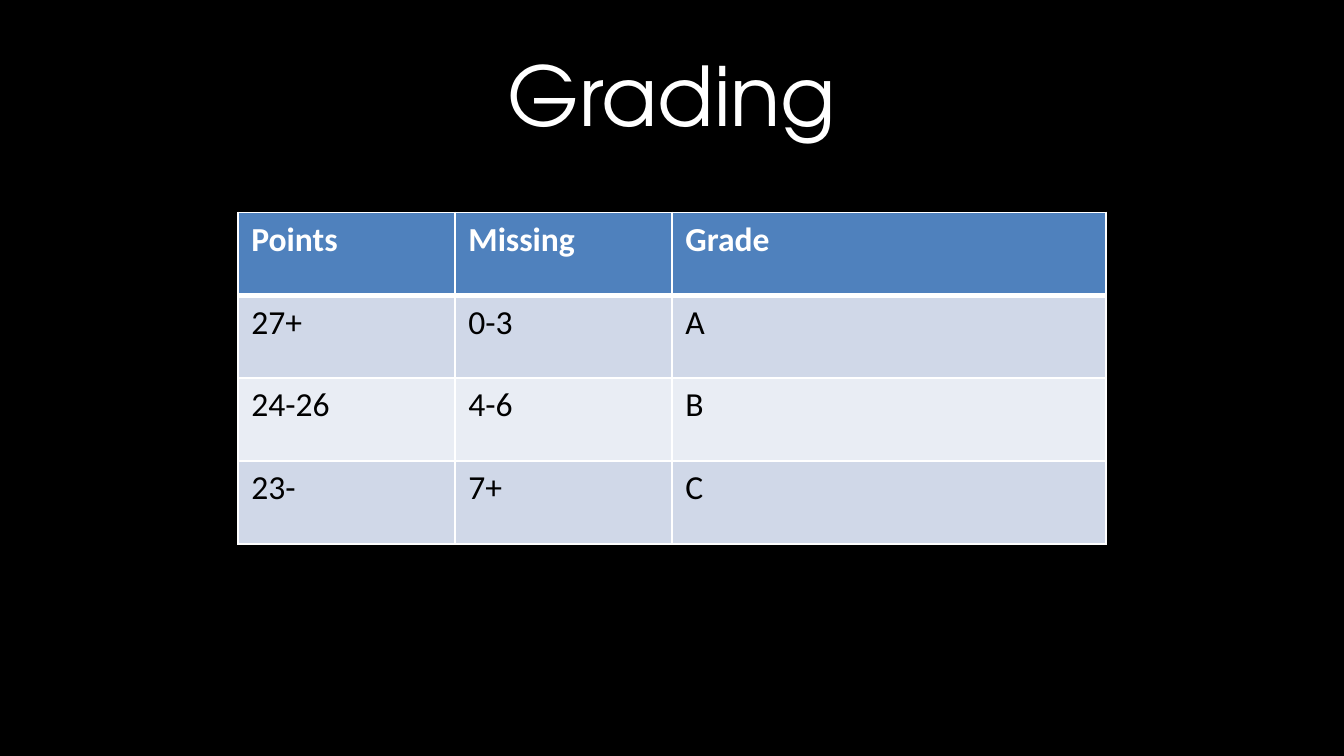
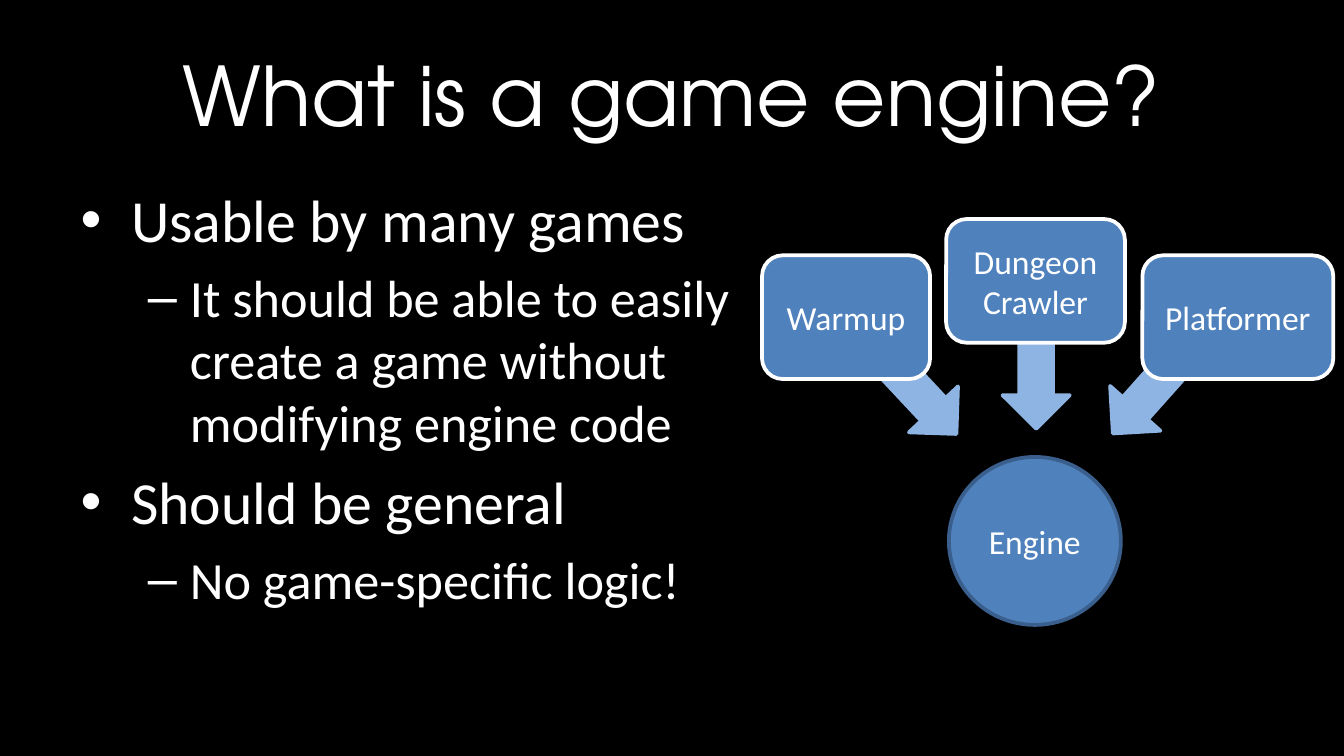
from lxml import etree
from pptx import Presentation, util as u
from pptx.dml.color import RGBColor
from pptx.enum import shapes, text
from pptx.oxml.ns import qn


class Theme:
    back, white, ink = "000000", "FFFFFF", "000000"
    blue, edge, pale = "4F81BD", "3A5F8C", "8EB4E3"
    bands = "E9EDF4", "D0D8E8"
    head, body = "TeX Gyre Adventor", "Calibri"
    title, point, sub, label = 44, 32, 28, 18


# The slide is a grid of square cells, 100 columns wide.
CELL = u.Inches(0.1)
KIND = shapes.MSO_SHAPE


def grid(*cells):
    """Turn left, top, width and height in cells into lengths."""
    return [round(n * CELL) for n in cells]


def style(par, size, color=Theme.white, face=Theme.body, bold=False):
    for run in par.runs:
        font = run.font
        font.name, font.size, font.bold = face, u.Pt(size), bold
        font.color.rgb = RGBColor.from_string(color)


prs = Presentation()
prs.slide_width, prs.slide_height = grid(100, 56.25)
fill = prs.slide_master.background.fill
fill.solid()
fill.fore_color.rgb = RGBColor.from_string(Theme.back)

# Both slides: title-only for the table, title and content for the bullets
slides = []
for name, layout in (("Grading", 5), ("What is a game engine?", 1)):
    slide = prs.slides.add_slide(prs.slide_layouts[layout])
    title = slide.shapes.title
    title.left, title.top, title.width, title.height = grid(5, 2.3, 90, 9.4)
    frame = title.text_frame
    frame.text = name
    frame.auto_size = text.MSO_AUTO_SIZE.NONE
    frame.vertical_anchor = text.MSO_ANCHOR.MIDDLE
    frame.paragraphs[0].alignment = text.PP_ALIGN.CENTER
    style(frame.paragraphs[0], Theme.title, face=Theme.head)
    slides.append(slide)
grades, engine = slides

# Slide 1: grade table
rows = [
    ("Points", "Missing", "Grade"),
    ("27+", "0-3", "A"),
    ("24-26", "4-6", "B"),
    ("23-", "7+", "C"),
]
table = grades.shapes.add_table(4, 3, *grid(17.7, 15.8, 64.6, 24.7)).table
for col, share in zip(table.columns, (1, 1, 2)):
    col.width = round(64.6 * CELL * share / 4)
for r, row in enumerate(rows):
    top = r == 0
    for c, word in enumerate(row):
        cell = table.cell(r, c)
        cell.text = word
        style(cell.text_frame.paragraphs[0], Theme.label,
              Theme.white if top else Theme.ink, bold=top)
        props = cell._tc.get_or_add_tcPr()
        for side in "LRTB":
            thick = (r, side) in ((0, "B"), (1, "T"))
            line = etree.SubElement(props, qn(f"a:ln{side}"), w=str(u.Pt(3 if thick else 1)))
            solid = etree.SubElement(line, qn("a:solidFill"))
            etree.SubElement(solid, qn("a:srgbClr"), val=Theme.white)
        cell.fill.solid()
        cell.fill.fore_color.rgb = RGBColor.from_string(Theme.blue if top else Theme.bands[r % 2])

# Slide 2: bullets
points = [
    (0, "Usable by many games"),
    (1, "It should be able to easily create a game without modifying engine code"),
    (0, "Should be general"),
    (1, "No game-specific logic!"),
]
levels = [("•", 3.75, Theme.point), ("–", 8.13, Theme.sub)]
hangs = 3.75, 3.13
body = engine.placeholders[1]
body.left, body.top, body.width, body.height = grid(5, 13.1, 51.7, 39.2)
frame = body.text_frame
frame.text = "\n".join(words for _, words in points)
frame.auto_size = text.MSO_AUTO_SIZE.NONE
for i, (par, (level, _)) in enumerate(zip(frame.paragraphs, points)):
    mark, indent, size = levels[level]
    par.level = level
    par.space_before = u.Pt(0.2 * size if i else 0)
    props = par._p.get_or_add_pPr()
    props.set("marL", str(round(indent * CELL)))
    props.set("indent", str(round(-hangs[level] * CELL)))
    etree.SubElement(props, qn("a:buChar"), char=mark)
    style(par, size)

# Slide 2: games feeding the engine, arrows behind
arrow = KIND.DOWN_ARROW, Theme.pale, Theme.pale
game = KIND.ROUNDED_RECTANGLE, Theme.blue, Theme.white
parts = [
    (arrow, (74.6, 24.4, 5, 7.5), 0, ""),
    (arrow, (66.1, 25.8, 5, 7.5), 316.9, ""),
    (arrow, (82.8, 25.7, 5, 7.5), 41.7, ""),
    (game, (56.7, 19, 12.5, 9.2), 0, "Warmup"),
    (game, (85, 19, 14.2, 9.2), 0, "Platformer"),
    (game, (70.4, 16.3, 13.3, 9.2), 0, "Dungeon\nCrawler"),
    ((KIND.OVAL, Theme.blue, Theme.edge), (70.6, 34, 12.8, 12.5), 0, "Engine"),
]
for (kind, color, edge), place, turn, words in parts:
    part = engine.shapes.add_shape(kind, *grid(*place))
    part.shadow.inherit = False
    part.rotation = turn
    part.fill.solid()
    part.fill.fore_color.rgb = RGBColor.from_string(color)
    part.line.color.rgb = RGBColor.from_string(edge)
    part.line.width = u.Pt(2)
    if words:
        part.text_frame.text = words
        part.text_frame.vertical_anchor = text.MSO_ANCHOR.MIDDLE
        for par in part.text_frame.paragraphs:
            par.alignment = text.PP_ALIGN.CENTER
            style(par, Theme.label)

prs.save("out.pptx")
